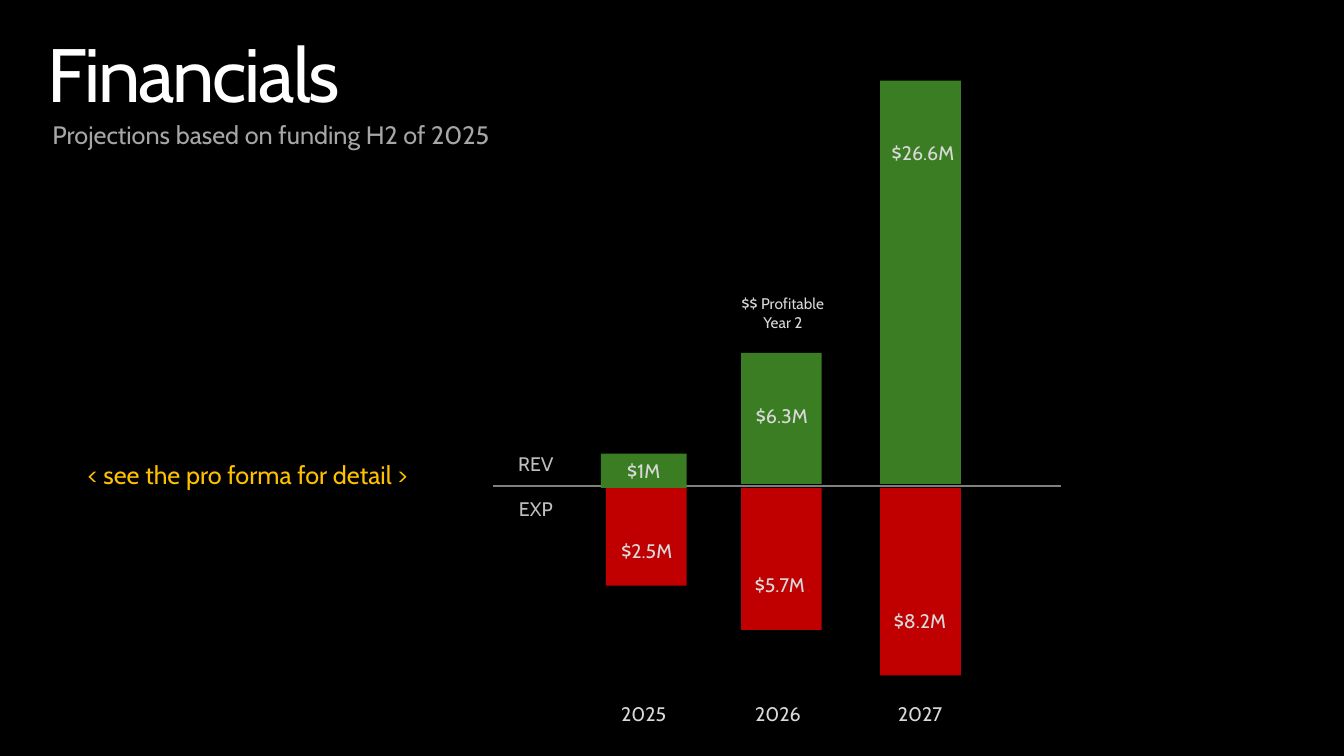
from lxml import etree
from pptx import Presentation
from pptx import util as u
from pptx.dml.color import RGBColor
from pptx.enum import shapes, text
from pptx.oxml.ns import qn

TITLE = "Financials"
SUBTITLE = "Projections based on funding H2 of 2025"
DETAIL = "< see the pro forma for detail >"
PROFIT_NOTE = "$$ Profitable\nYear 2"
ROW_LABELS = [("REV", 4.43), ("EXP", 4.88)]
YEARS = [("2025", 5.96), ("2026", 7.29), ("2027", 8.7)]
REVENUE_BARS = [
    {"label": "$1M", "left": 5.96, "height": 0.34, "width": 0.85, "bottom": 4.84},
    {"label": "$6.3M", "left": 7.35, "height": 1.3, "label_at": (7.33, 3.96)},
    {"label": "$26.6M", "left": 8.73, "height": 4, "label_at": (8.73, 1.35)},
]
EXPENSE_BARS = [
    {"label": "$2.5M", "left": 6.01, "height": 0.97, "label_at": (5.99, 5.3)},
    {"label": "$5.7M", "left": 7.35, "height": 1.41, "label_at": (7.31, 5.63)},
    {"label": "$8.2M", "left": 8.73, "height": 1.86, "label_at": (8.7, 5.99)},
]

AXIS_LEFT, AXIS_RIGHT, AXIS_Y = 4.89, 10.52, 4.82
AXIS_GAP = 0.02
BAR_WIDTH = 0.8
LABEL_WIDTH, LABEL_HEIGHT = 0.85, 0.34
YEAR_TOP = 6.91


class Theme:
    font = "Cabin"
    background = "000000"
    title = "FFFFFF"
    subtitle = "A6A6A6"
    accent = "FFC000"
    axis = "808080"
    row = "BFBFBF"
    label = "D9D9D9"
    revenue = "3B7D23"
    expense = "C00000"
    title_size = 54
    body_size = 18
    label_size = 14
    note_size = 11


def color(value):
    return RGBColor.from_string(value)


def write(shape, words, size=Theme.label_size, fill=Theme.label,
          align=text.PP_ALIGN.CENTER, wrap=True, grow=True,
          inset=None, line_spacing=None, tracking=None):
    frame = shape.text_frame
    frame.text = words
    frame.word_wrap = wrap
    frame.vertical_anchor = text.MSO_ANCHOR.TOP
    frame.auto_size = (text.MSO_AUTO_SIZE.SHAPE_TO_FIT_TEXT if grow
                       else text.MSO_AUTO_SIZE.NONE)
    if inset is not None:
        frame.margin_left = frame.margin_right = u.Inches(inset)
        frame.margin_top = frame.margin_bottom = u.Inches(inset)
    for paragraph in frame.paragraphs:
        paragraph.alignment = align
        if line_spacing:
            paragraph.line_spacing = u.Pt(line_spacing)
        for run in paragraph.runs:
            run.font.name = Theme.font
            run.font.size = u.Pt(size)
            run.font.color.rgb = color(fill)
            if tracking:
                run._r.get_or_add_rPr().set("spc", str(int(tracking * 100)))


def add_text(slide, words, left, top, width=LABEL_WIDTH, height=LABEL_HEIGHT, **style):
    box = slide.shapes.add_textbox(*map(u.Inches, (left, top, width, height)))
    write(box, words, **style)


def add_title(slide):
    title = slide.shapes.title
    title.left, title.top = u.Inches(0.37), u.Inches(0.22)
    title.width, title.height = u.Inches(8.54), u.Inches(1.01)
    write(title, TITLE, size=Theme.title_size, fill=Theme.title,
          align=text.PP_ALIGN.LEFT, tracking=-1.5)


def add_axis(slide):
    axis = slide.shapes.add_connector(
        shapes.MSO_CONNECTOR.STRAIGHT,
        *map(u.Inches, (AXIS_LEFT, AXIS_Y, AXIS_RIGHT, AXIS_Y)))
    axis.line.color.rgb = color(Theme.axis)
    axis.line.width = u.Pt(1.5)
    etree.SubElement(axis._element.spPr, qn("a:effectLst"))


def add_bar(slide, bar, top, fill):
    shape = slide.shapes.add_shape(
        shapes.MSO_SHAPE.RECTANGLE,
        *map(u.Inches, (bar["left"], top, bar.get("width", BAR_WIDTH), bar["height"])))
    shape.shadow.inherit = False
    shape.fill.solid()
    shape.fill.fore_color.rgb = color(fill)
    shape.line.fill.background()
    if "label_at" in bar:
        add_text(slide, bar["label"], *bar["label_at"])
    else:
        write(shape, bar["label"])


def main():
    presentation = Presentation()
    presentation.slide_width = u.Inches(13.33)
    presentation.slide_height = u.Inches(7.5)
    slide = presentation.slides.add_slide(presentation.slide_layouts[5])
    slide.background.fill.solid()
    slide.background.fill.fore_color.rgb = color(Theme.background)

    add_title(slide)
    add_text(slide, SUBTITLE, 0.52, 0.93, 6.28, 0.56, size=Theme.body_size,
             fill=Theme.subtitle, align=text.PP_ALIGN.LEFT, grow=False,
             inset=0, line_spacing=40.2)
    add_text(slide, DETAIL, 0.77, 4.51, 3.64, 0.4, size=Theme.body_size,
             fill=Theme.accent, align=text.PP_ALIGN.LEFT, wrap=False)
    add_axis(slide)

    for bar in EXPENSE_BARS:
        add_bar(slide, bar, AXIS_Y + AXIS_GAP, Theme.expense)
    for bar in REVENUE_BARS:
        bottom = bar.get("bottom", AXIS_Y - AXIS_GAP)
        add_bar(slide, bar, bottom - bar["height"], Theme.revenue)

    for year, left in YEARS:
        add_text(slide, year, left, YEAR_TOP)
    for row, top in ROW_LABELS:
        add_text(slide, row, AXIS_LEFT, top, fill=Theme.row)
    add_text(slide, PROFIT_NOTE, 6.87, 2.87, 1.79, 0.47, size=Theme.note_size)

    presentation.save("out.pptx")


if __name__ == "__main__":
    main()
